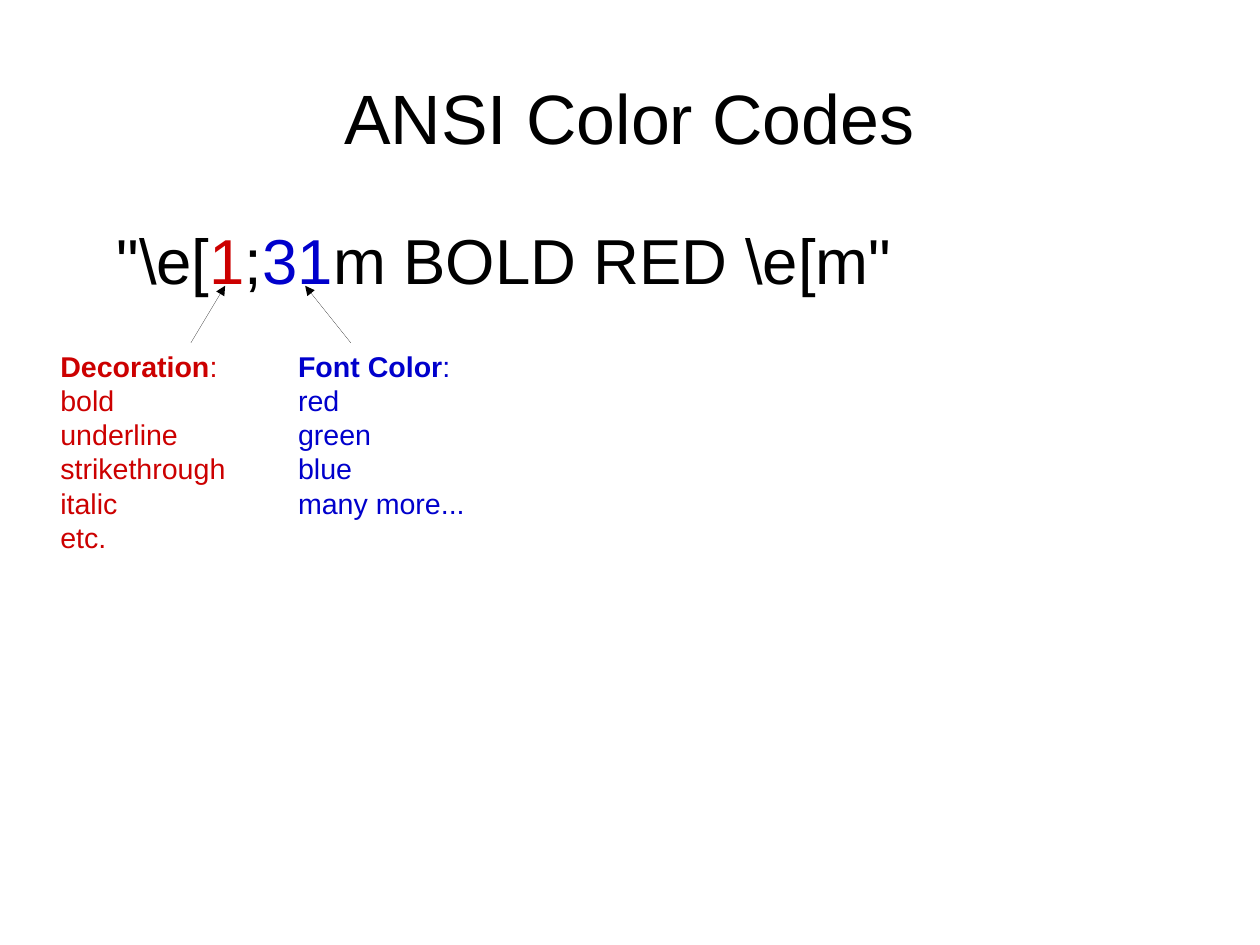
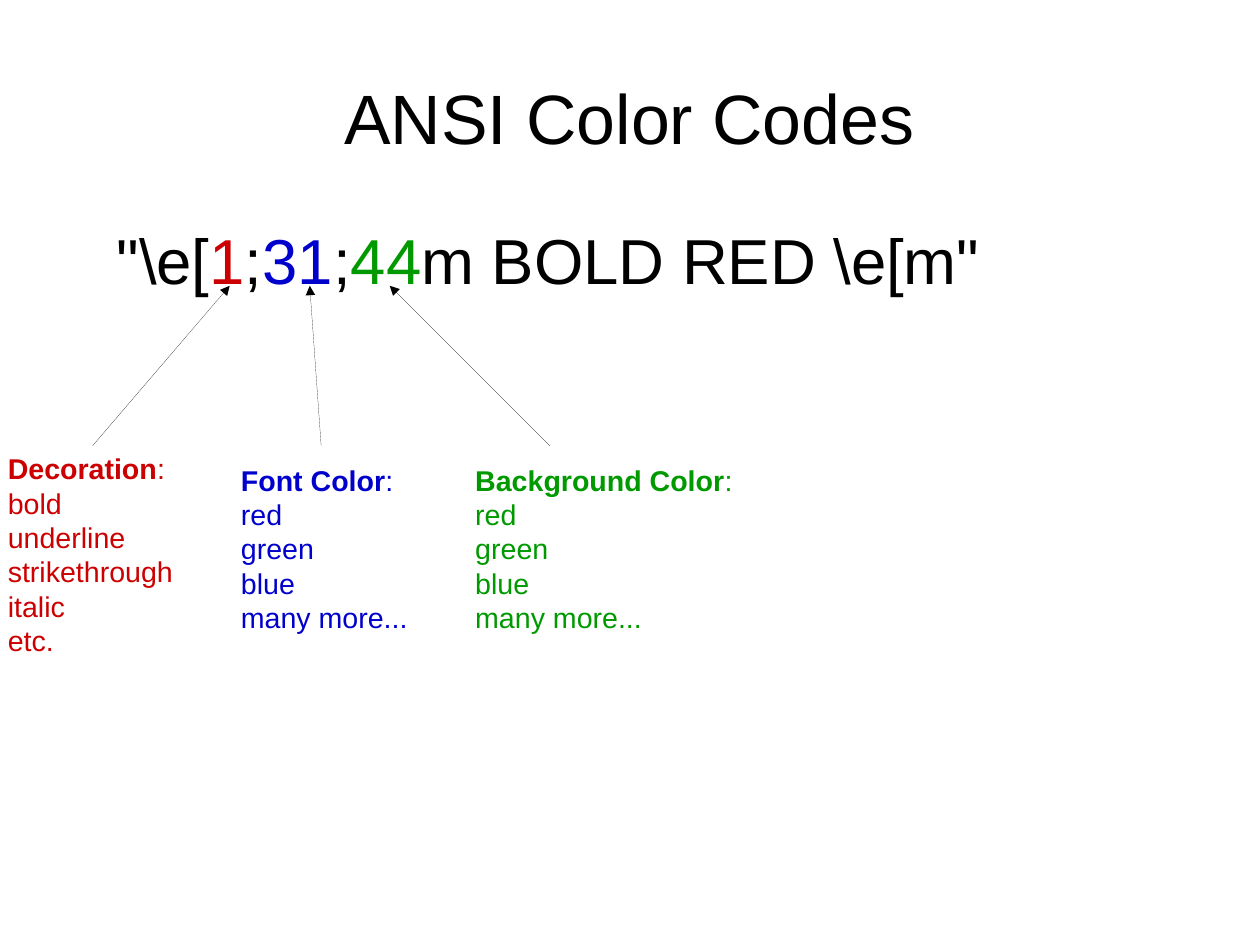
from lxml.etree import SubElement
from pptx import Presentation
from pptx.dml.color import RGBColor
from pptx.enum.shapes import MSO_CONNECTOR as CONN
from pptx.enum.text import MSO_ANCHOR as ANCHOR, MSO_AUTO_SIZE as AUTO, PP_ALIGN as ALIGN
from pptx.oxml.ns import qn
from pptx.util import Inches, Pt

FONT = "Arial"
COLORS = {"text": "000000", "decoration": "CC0000", "font": "0000CC", "background": "009900"}
HUES = ["red", "green", "blue", "many more..."]
# Each part of the escape code: its value, its heading, the choices it offers
PARTS = {
    "decoration": ("1", "Decoration", ["bold", "underline", "strikethrough", "italic", "etc."]),
    "font": ("31", "Font Color", HUES),
    "background": ("44", "Background Color", HUES),
}
ARROW_TIP = 2.5
CM_PER_INCH = 2.54


def add_text(p, text, size=18, color="text", bold=False):
    r = p.add_run()
    r.text = text
    r.font.name = FONT
    r.font.size = Pt(size)
    r.font.bold = bold
    r.font.color.rgb = RGBColor.from_string(COLORS[color])


class Deck:
    def __init__(self, prs):
        self.prs = prs
        self.s = None

    def box(self, x, y, w, h, margins=(0, 0, 0, 0), wrap=True):
        """Add an empty text box; margins run left, top, right, bottom."""
        tf = self.s.shapes.add_textbox(Inches(x), Inches(y), Inches(w), Inches(h)).text_frame
        tf.margin_left, tf.margin_top, tf.margin_right, tf.margin_bottom = map(Inches, margins)
        tf.word_wrap = wrap
        return tf

    def slide(self, title):
        self.s = self.prs.slides.add_slide(self.prs.slide_layouts[6])
        tf = self.box(0.55, 0.33, 9.92, 1.38)
        tf.vertical_anchor = ANCHOR.MIDDLE
        p = tf.paragraphs[0]
        p.alignment = ALIGN.CENTER
        add_text(p, title, size=44)

    def code(self, parts):
        """Write the escape sequence with each part in its own colour."""
        p = self.box(0.55, 1.93, 9.92, 0.87, margins=(0.47, 0, 0, 0)).paragraphs[0]
        for i, part in enumerate(parts):
            add_text(p, ";" if i else r'"\e[', size=40)
            add_text(p, PARTS[part][0], size=40, color=part)
        add_text(p, r'm BOLD RED \e[m"', size=40)

    def legend(self, part, x, y, w):
        _, heading, choices = PARTS[part]
        h = 0.1 + 0.28 * (len(choices) + 1)
        tf = self.box(x, y, w, h, margins=(0.1, 0.05, 0.1, 0.05), wrap=False)
        tf.auto_size = AUTO.SHAPE_TO_FIT_TEXT
        p = tf.paragraphs[0]
        add_text(p, heading, color=part, bold=True)
        add_text(p, ":", color=part)
        for choice in choices:
            add_text(tf.add_paragraph(), choice, color=part)

    def arrow(self, x1, y1, x2, y2):
        """Draw a hairline with a triangle at its end."""
        c = self.s.shapes.add_connector(CONN.STRAIGHT, *map(Inches, (x1, y1, x2, y2)))
        c.line.color.rgb = RGBColor.from_string(COLORS["text"])
        ln = c.line._get_or_add_ln()
        ln.set("w", "0")
        SubElement(ln, qn("a:tailEnd"), type="triangle")
        SubElement(c._element.spPr, qn("a:effectLst"))


def main():
    prs = Presentation()
    prs.slide_width = Inches(28 / CM_PER_INCH)
    prs.slide_height = Inches(21 / CM_PER_INCH)
    prs.element.find(qn("p:sldSz")).attrib.pop("type", None)
    deck = Deck(prs)
    # Per slide: where arrows start, then part, legend x, y, width, arrow from x, to x
    slides = [
        (3, [("decoration", 0.43, 3, 1.66, 1.67, 1.97),
             ("font", 2.51, 3, 1.67, 3.07, 2.67)]),
        (3.9, [("decoration", -0.03, 3.9, 1.66, 0.81, 2.01),
               ("font", 2.01, 4, 1.67, 2.81, 2.71),
               ("background", 4.06, 4, 2.46, 4.81, 3.41)]),
    ]
    for arrow_y, legends in slides:
        deck.slide("ANSI Color Codes")
        deck.code([legend[0] for legend in legends])
        for part, x, y, w, start, tip in legends:
            deck.legend(part, x, y, w)
            deck.arrow(start, arrow_y, tip, ARROW_TIP)
    prs.save("out.pptx")


if __name__ == "__main__":
    main()
